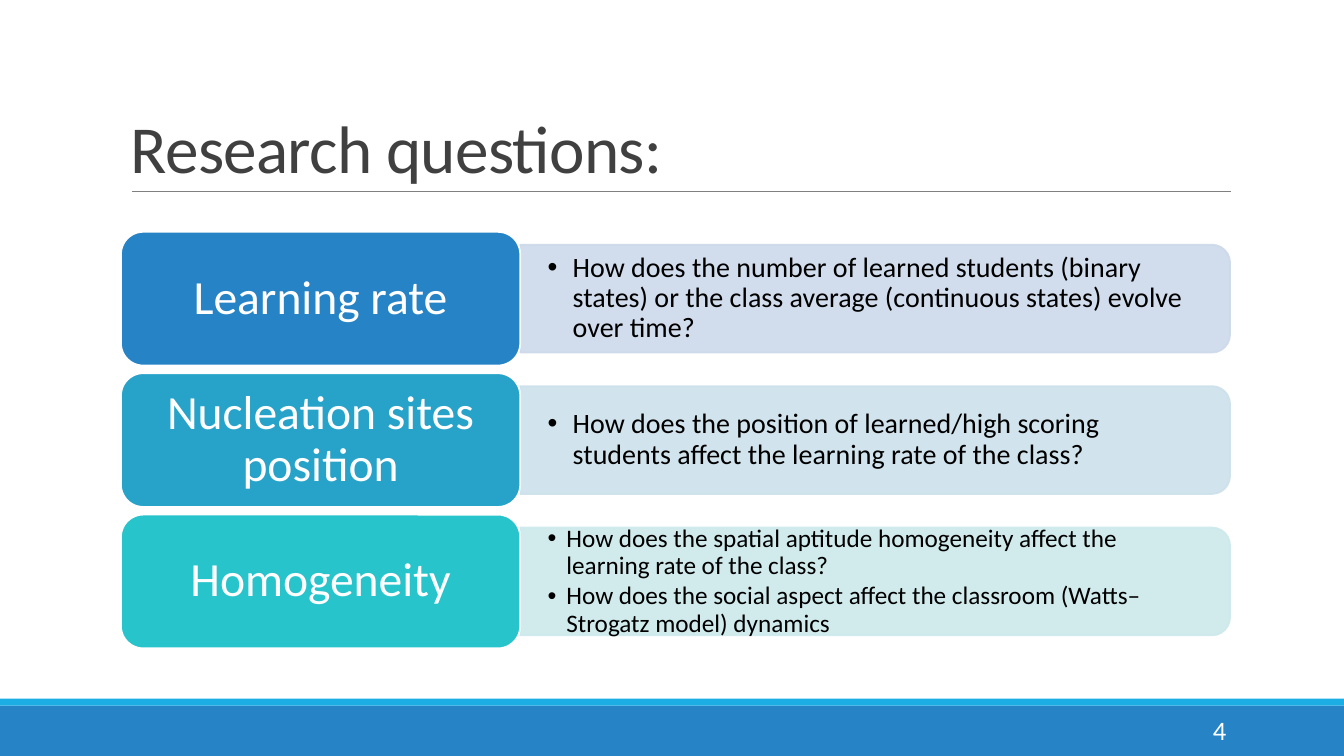
from lxml import etree
from pptx import Presentation
from pptx.dml.color import RGBColor
from pptx.enum.shapes import MSO_CONNECTOR, MSO_SHAPE
from pptx.enum.text import MSO_ANCHOR, PP_ALIGN
from pptx.oxml.ns import qn
from pptx.util import Pt

RECTANGLE = MSO_SHAPE.RECTANGLE
ROUNDED = MSO_SHAPE.ROUNDED_RECTANGLE
TWO_ROUNDED = MSO_SHAPE.ROUND_2_SAME_RECTANGLE
STRAIGHT = MSO_CONNECTOR.STRAIGHT
MIDDLE, BOTTOM = MSO_ANCHOR.MIDDLE, MSO_ANCHOR.BOTTOM
LEFT, CENTER, RIGHT = PP_ALIGN.LEFT, PP_ALIGN.CENTER, PP_ALIGN.RIGHT

CARD_LEFT, CARD_TOP, CARD_WIDTH, CARD_HEIGHT = 86.4, 165.6, 285.2, 95.5
ROW_PITCH = 101
PANEL_WIDTH, PANEL_HEIGHT = 507, 77
QUESTION_WIDTH, QUESTION_HEIGHT = 503, 69

ROWS = [
    ("Learning rate", "2683C6", "CDD9EA", 20, 18,
     ["How does the number of learned students (binary states) or the class "
      "average (continuous states) evolve over time?"]),
    ("Nucleation sites position", "27A3C9", "CDE1EB", 20, 18,
     ["How does the position of learned/high scoring students affect the "
      "learning rate of the class?"]),
    ("Homogeneity", "28C4CC", "CDE9EC", 18, 13.5,
     ["How does the spatial aptitude homogeneity affect the learning rate of the class?",
      "How does the social aspect affect the classroom (Watts–Strogatz model) dynamics"]),
]


def color(value):
    return RGBColor.from_string(value)


def apply(target, values):
    for name, value in values.items():
        setattr(target, name, value)


class SlideBuilder:
    font_name = "Calibri"

    def __init__(self, slide):
        self.slide = slide

    def box(self, kind, left, top, width, height, fill, line=None, rotation=0, alpha=None):
        shape = self.slide.shapes.add_shape(kind, Pt(left), Pt(top), Pt(width), Pt(height))
        shape.shadow.inherit = False
        shape.rotation = rotation
        shape.fill.solid()
        shape.fill.fore_color.rgb = color(fill)
        if line:
            shape.line.color.rgb = color(line)
            shape.line.width = Pt(1.25)
        else:
            shape.line.fill.background()
        if alpha:
            for element in shape._element.spPr.iter(qn("a:srgbClr")):
                etree.SubElement(element, qn("a:alpha"), val=str(alpha * 1000))
        return shape

    def rule(self, left, right, y, line):
        connector = self.slide.shapes.add_connector(STRAIGHT, Pt(left), Pt(y), Pt(right), Pt(y))
        connector.line.color.rgb = color(line)
        connector.line.width = Pt(0.5)
        etree.SubElement(connector._element.spPr, qn("a:effectLst"))

    def text_box(self, left, top, width, height):
        return self.slide.shapes.add_textbox(Pt(left), Pt(top), Pt(width), Pt(height))

    def add_text(self, shape, lines, size, ink, align=LEFT, anchor=MIDDLE, margins=(7.2, 3.6),
                 spacing=0.9, indent=0, tracking=0):
        frame = shape.text_frame
        side, end = map(Pt, margins)
        apply(frame, {"word_wrap": True, "vertical_anchor": anchor, "margin_left": side,
                      "margin_right": side, "margin_top": end, "margin_bottom": end})
        for index, line in enumerate(lines):
            paragraph = frame.add_paragraph() if index else frame.paragraphs[0]
            apply(paragraph, {"alignment": align, "line_spacing": spacing, "space_after": Pt(2.5)})
            run = paragraph.add_run()
            run.text = line
            apply(run.font, {"name": self.font_name, "size": Pt(size)})
            run.font.color.rgb = color(ink)
            if tracking:
                run._r.get_or_add_rPr().set("spc", str(tracking))
            if indent:
                self.bullet(paragraph, indent)

    def bullet(self, paragraph, indent):
        paragraph.level = 1
        properties = paragraph._p.get_or_add_pPr()
        properties.set("marL", str(Pt(indent)))
        properties.set("indent", str(-Pt(indent)))
        etree.SubElement(properties, qn("a:buFont"), typeface="Arial")
        etree.SubElement(properties, qn("a:buChar"), char="•")

    def question_row(self, index, topic, fill, tint, size, indent, questions):
        top = CARD_TOP + index * ROW_PITCH
        middle = top + CARD_HEIGHT / 2
        panel_left = CARD_LEFT + CARD_WIDTH
        panel_center = panel_left + PANEL_WIDTH / 2
        self.box(TWO_ROUNDED, panel_center - PANEL_HEIGHT / 2, middle - PANEL_WIDTH / 2,
                 PANEL_HEIGHT, PANEL_WIDTH, tint, tint, rotation=90, alpha=90)
        text = self.text_box(panel_left, middle - QUESTION_HEIGHT / 2,
                             QUESTION_WIDTH, QUESTION_HEIGHT)
        self.add_text(text, questions, size, "000000", margins=(19.5, 10), indent=indent)
        card = self.box(ROUNDED, CARD_LEFT, top, CARD_WIDTH, CARD_HEIGHT, fill, "FFFFFF")
        self.add_text(card, [topic], 34, "FFFFFF", CENTER, margins=(14.4, 9.5))


def main():
    presentation = Presentation()
    apply(presentation, {"slide_width": Pt(960), "slide_height": Pt(540)})
    builder = SlideBuilder(presentation.slides.add_slide(presentation.slide_layouts[6]))

    builder.box(RECTANGLE, 0, 504, 960, 36, "2683C6")
    builder.box(RECTANGLE, 0, 499, 960, 5, "1CADE4")
    builder.rule(94.3, 879, 136.8, "808080")
    builder.add_text(builder.text_box(86.4, 22.5, 792, 114.5), ["Research questions:"], 48,
                     "404040", anchor=BOTTOM, spacing=0.85, tracking=-50)
    builder.add_text(builder.text_box(780, 508.5, 103, 28.8), ["4"], 19, "FFFFFF", RIGHT)
    for index, row in enumerate(ROWS):
        builder.question_row(index, *row)

    presentation.save("out.pptx")


if __name__ == "__main__":
    main()
